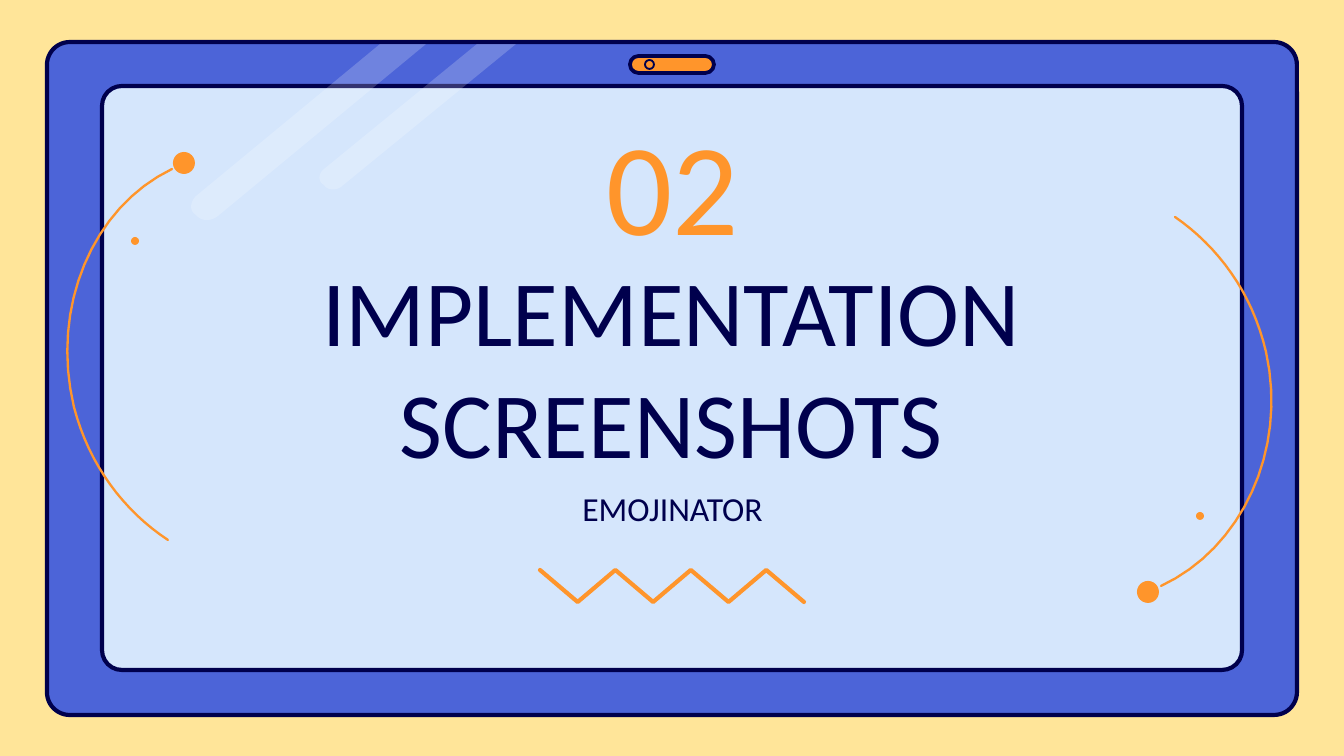
from typing import NamedTuple

from lxml.etree import SubElement
from pptx import Presentation
from pptx.dml.color import RGBColor
from pptx.enum.shapes import MSO_SHAPE
from pptx.enum.text import MSO_ANCHOR, PP_ALIGN
from pptx.oxml.ns import qn
from pptx.util import Pt

PX = 914400 / 134.4
FONT = "Calibri"
HUES = {
    "sand": "FFE599",
    "blue": "4C64D8",
    "sky": "D5E6FC",
    "navy": "00004D",
    "peach": "FF952B",
    "white": "FFFFFF",
}

Point = tuple[int, int]


class Box(NamedTuple):
    x: int
    y: int
    w: int
    h: int
    kind: MSO_SHAPE
    fill: str | None
    line: str | None = None
    width: float = 0
    bend: float | None = None


class Label(NamedTuple):
    text: str
    x: int
    y: int
    w: int
    h: int
    size: int
    hue: str
    anchor: MSO_ANCHOR


class Curve(NamedTuple):
    start: Point
    legs: list[tuple[Point, ...]]


def emu(px: float) -> int:
    return round(px * PX)


def color(name: str) -> RGBColor:
    return RGBColor.from_string(HUES[name])


def paint(shape, fill: str | None, line: str | None = None, width: float = 0) -> None:
    shape.shadow.inherit = False
    if fill:
        shape.fill.solid()
        shape.fill.fore_color.rgb = color(fill)
    else:
        shape.fill.background()
    if line:
        shape.line.color.rgb = color(line)
        shape.line.width = Pt(width)
    else:
        shape.line.fill.background()


def draw_box(slide, box: Box) -> None:
    shape = slide.shapes.add_shape(box.kind, emu(box.x), emu(box.y), emu(box.w), emu(box.h))
    if box.bend is not None:
        shape.adjustments[0] = box.bend
    paint(shape, box.fill, box.line, box.width)


def draw_dot(slide, mid: Point, size: int) -> None:
    x, y = mid
    draw_box(slide, Box(x - size // 2, y - size // 2, size, size, MSO_SHAPE.OVAL, "peach"))


def trace(curve: Curve, steps: int = 16) -> list[tuple[float, float]]:
    points = [curve.start]
    for leg in curve.legs:
        if len(leg) == 1:
            points.append(leg[0])
            continue
        ends = (points[-1], *leg)
        for i in range(1, steps + 1):
            t = i / steps
            mix = ((1 - t) ** 3, 3 * t * (1 - t) ** 2, 3 * t * t * (1 - t), t ** 3)
            points.append(tuple(sum(m * p[k] for m, p in zip(mix, ends)) for k in (0, 1)))
    return points


def draw_path(slide, points: list[tuple[float, float]], close: bool):
    first, *rest = [(emu(x), emu(y)) for x, y in points]
    pen = slide.shapes.build_freeform(*first)
    pen.add_line_segments(rest, close=close)
    return pen.convert_to_shape()


def draw_line(slide, points: list[tuple[float, float]], width: float) -> None:
    shape = draw_path(slide, points, False)
    paint(shape, None, "peach", width)
    line = shape.element.spPr.find(qn("a:ln"))
    line.set("cap", "rnd")
    SubElement(line, qn("a:round"))


def draw_shine(slide, curve: Curve) -> None:
    shape = draw_path(slide, trace(curve), True)
    paint(shape, "white")
    tone = shape.element.spPr.find(qn("a:solidFill"))[0]
    SubElement(tone, qn("a:alpha")).set("val", "20000")


def draw_label(slide, label: Label) -> None:
    box = slide.shapes.add_textbox(emu(label.x), emu(label.y), emu(label.w), emu(label.h))
    frame = box.text_frame
    frame.word_wrap = True
    frame.vertical_anchor = label.anchor
    frame.margin_left = frame.margin_right = frame.margin_top = frame.margin_bottom = 0
    frame.text = label.text
    para = frame.paragraphs[0]
    para.alignment = PP_ALIGN.CENTER
    font = para.runs[0].font
    font.name, font.size, font.color.rgb = FONT, Pt(label.size), color(label.hue)


ROUND = MSO_SHAPE.ROUNDED_RECTANGLE
TABLET = [
    Box(47, 42, 1250, 673, ROUND, "blue", "navy", 2.25, 0.034),
    Box(102, 86, 1140, 584, ROUND, "sky", "navy", 2.25, 0.034),
]
CAMERA = [
    Box(630, 56, 84, 17, ROUND, "peach", "navy", 2, 0.5),
    Box(645, 60, 9, 9, MSO_SHAPE.OVAL, None, "navy", 1),
]
SHINES = [
    Curve((426, 44), [((218, 216),), ((210, 222), (201, 221), (196, 215)),
                      ((189, 211), (190, 202), (196, 196)), ((380, 44),)]),
    Curve((516, 44), [((341, 187),), ((335, 191), (327, 190), (324, 185)),
                      ((317, 181), (319, 173), (324, 169)), ((477, 44),)]),
]
LABELS = [
    Label("IMPLEMENTATION SCREENSHOTS", 215, 312, 913, 165, 50, "navy", MSO_ANCHOR.BOTTOM),
    Label("EMOJINATOR", 367, 488, 611, 50, 18, "navy", MSO_ANCHOR.TOP),
    Label("02", 367, 132, 611, 103, 70, "peach", MSO_ANCHOR.MIDDLE),
]
ARCS = [
    Curve((1161, 586), [((1241, 549), (1288, 451), (1266, 352)),
                        ((1252, 292), (1218, 247), (1175, 217))]),
    Curve((172, 169), [((93, 207), (50, 307), (74, 407)),
                       ((89, 465), (124, 511), (168, 540))]),
]
DOTS = [((1200, 516), 8), ((1148, 592), 22), ((135, 241), 8), ((184, 163), 22)]
ZIGZAG = [(540 + i * 264 / 7, 602 if i % 2 else 570) for i in range(8)]


def main() -> None:
    deck = Presentation()
    deck.slide_width, deck.slide_height = emu(1344), emu(756)
    slide = deck.slides.add_slide(deck.slide_layouts[6])
    back = slide.background.fill
    back.solid()
    back.fore_color.rgb = color("sand")
    for box in TABLET:
        draw_box(slide, box)
    for shine in SHINES:
        draw_shine(slide, shine)
    for box in CAMERA:
        draw_box(slide, box)
    for label in LABELS:
        draw_label(slide, label)
    draw_line(slide, ZIGZAG, 2.25)
    for arc in ARCS:
        draw_line(slide, trace(arc), 1.25)
    for mid, size in DOTS:
        draw_dot(slide, mid, size)
    deck.save("out.pptx")


if __name__ == "__main__":
    main()
